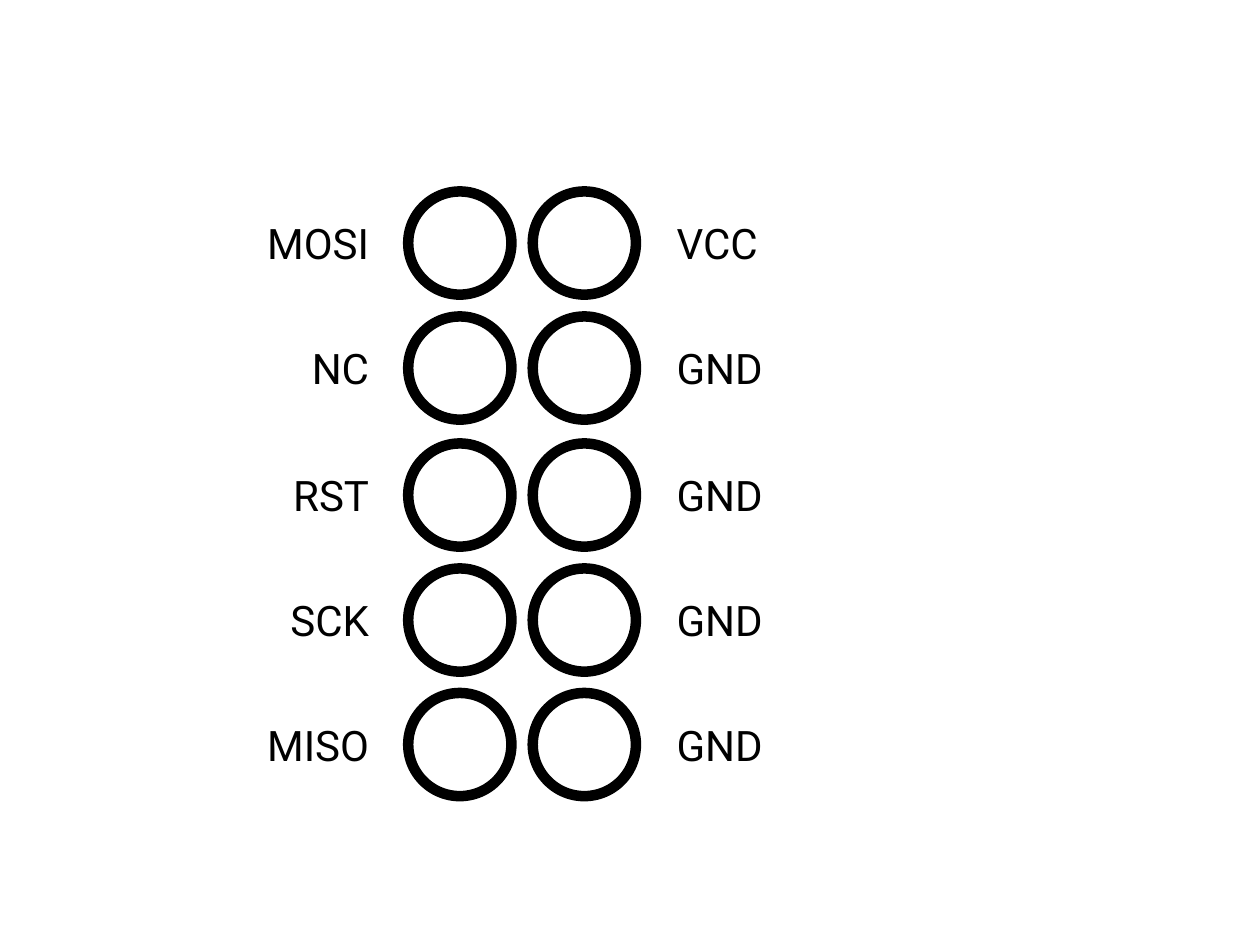
from dataclasses import dataclass

from pptx import Presentation
from pptx.dml.color import RGBColor
from pptx.enum.shapes import MSO_SHAPE as Shape
from pptx.enum.text import MSO_AUTO_SIZE as AutoSize, PP_ALIGN as Align
from pptx.util import Cm, Pt


@dataclass(frozen=True)
class Theme:
    ink: RGBColor = RGBColor(0, 0, 0)
    paper: RGBColor = RGBColor(255, 255, 255)
    font: str = "Roboto"
    label_size: Pt = Pt(24)
    ring: Pt = Pt(6)


class PinoutSlide:
    """Holds the theme and the current slide; lengths are in centimetres."""

    def __init__(self, slide, theme):
        self.theme = theme
        slide.background.fill.solid()
        slide.background.fill.fore_color.rgb = theme.paper
        self.header = slide.shapes.add_group_shape().shapes

    def pin(self, left, top, size):
        pin = self.header.add_shape(Shape.OVAL, Cm(left), Cm(top), Cm(size), Cm(size))
        pin.shadow.inherit = False
        pin.fill.background()
        pin.line.color.rgb = self.theme.ink
        pin.line.width = self.theme.ring

    def label(self, signal, left, top, width, height, align):
        label = self.header.add_textbox(Cm(left), Cm(top), Cm(width), Cm(height))
        frame = label.text_frame
        frame.word_wrap = True
        frame.auto_size = AutoSize.SHAPE_TO_FIT_TEXT
        frame.text = signal
        paragraph = frame.paragraphs[0]
        paragraph.alignment = align
        paragraph.font.name = self.theme.font
        paragraph.font.size = self.theme.label_size
        paragraph.font.color.rgb = self.theme.ink


# Pin header geometry
PIN_SIZE = 2.08
ROW_TOPS = (3.86, 6.38, 8.94, 11.46, 13.97)
LABEL_WIDTH, LABEL_HEIGHT = 2.69, 1.28
LABEL_DROP = (PIN_SIZE - LABEL_HEIGHT) / 2

# Each column: pin left, label left, label alignment, signals from top to bottom
COLUMNS = (
    (8.23, 5.0, Align.RIGHT, ("MOSI", "NC", "RST", "SCK", "MISO")),
    (10.74, 13.39, Align.LEFT, ("VCC", "GND", "GND", "GND", "GND")),
)


def main():
    deck = Presentation()
    deck.slide_width, deck.slide_height = Cm(25.4), Cm(19.05)
    blank = deck.slide_layouts[6]
    pinout = PinoutSlide(deck.slides.add_slide(blank), Theme())

    # Pins with the signal name beside each one
    for pin_left, label_left, align, signals in COLUMNS:
        for top, signal in zip(ROW_TOPS, signals):
            pinout.pin(pin_left, top, PIN_SIZE)
            pinout.label(signal, label_left, top + LABEL_DROP,
                         LABEL_WIDTH, LABEL_HEIGHT, align)

    deck.save("out.pptx")


if __name__ == "__main__":
    main()
